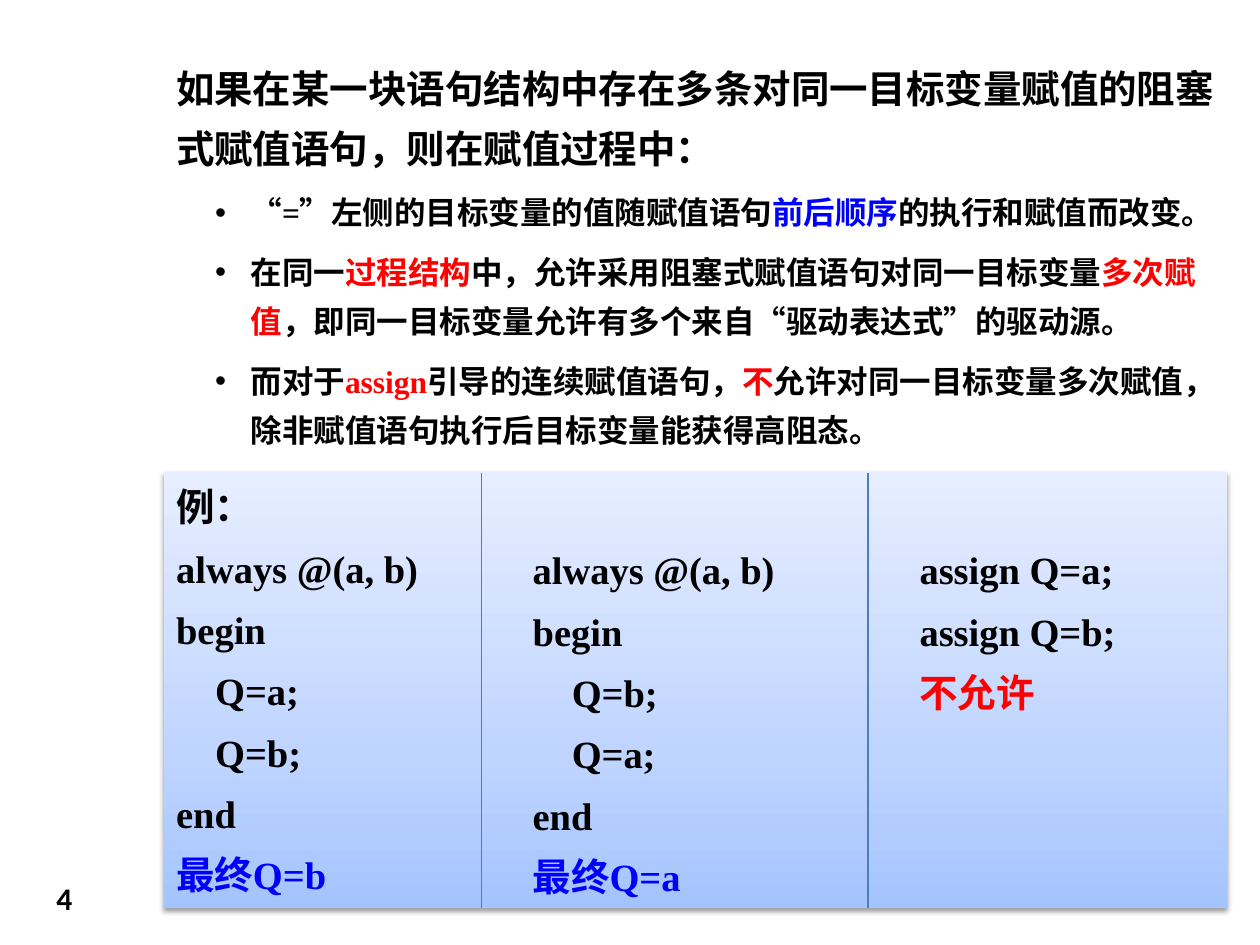
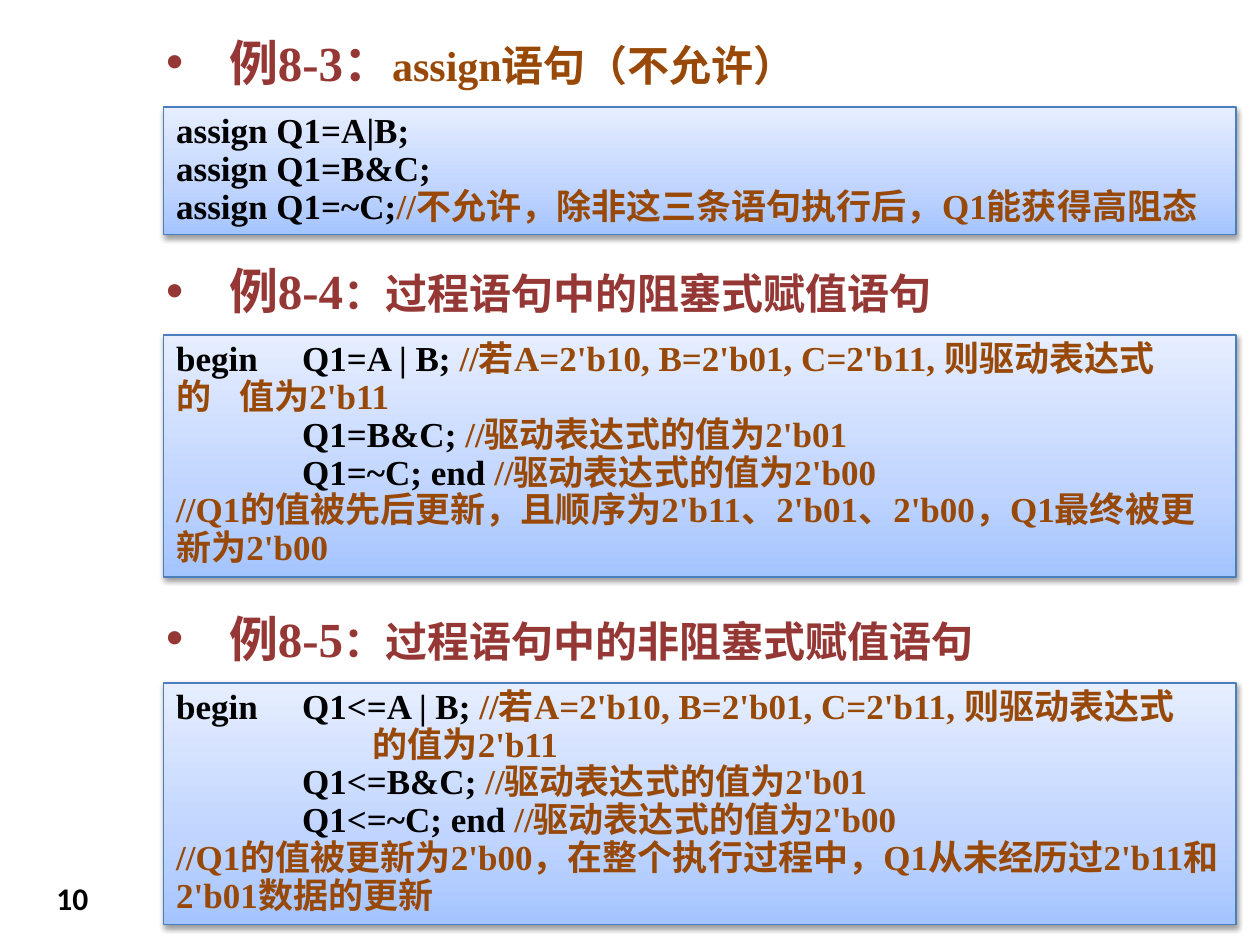
from dataclasses import dataclass

from lxml import etree
from pptx import Presentation
from pptx.dml.color import RGBColor
from pptx.enum.shapes import MSO_CONNECTOR, MSO_SHAPE
from pptx.enum.text import MSO_ANCHOR, PP_ALIGN
from pptx.oxml.ns import qn
from pptx.util import Inches, Pt

RECTANGLE = MSO_SHAPE.RECTANGLE
STRAIGHT = MSO_CONNECTOR.STRAIGHT
LEFT = PP_ALIGN.LEFT
TOP, MIDDLE = MSO_ANCHOR.TOP, MSO_ANCHOR.MIDDLE


@dataclass(frozen=True)
class Theme:
    font: str = "Times New Roman"
    number_font: str = "Calibri"
    ink: str = "000000"
    blue: str = "0000FF"
    red: str = "FF0000"
    heading: str = "953735"
    comment: str = "984807"
    rule: str = "4B7EBC"
    panel: tuple = ((0, "A4C4FF"), (35, "BFD4FF"), (100, "E6EEFF"))
    heading_size: int = 28
    topic_size: int = 24
    lead_size: int = 22
    code_size: int = 20
    body_size: int = 18


THEME = Theme()
PANEL_LEFT = 1.3
HEADING_RISE = 0.64


def add_xml(parent, tag, **attributes):
    child = etree.SubElement(parent, qn(tag))
    for name, value in attributes.items():
        child.set(name, str(value))
    return child


def write(frame, *runs, size, color=THEME.ink, font=THEME.font, indent=0,
          hanging=0, line=1.0, after=0, bullet=None, tab=None):
    """Add a paragraph; a run is text or (text, colour[, size])."""
    paragraph = frame.paragraphs[0]
    if paragraph.runs:
        paragraph = frame.add_paragraph()
    paragraph.alignment = LEFT
    paragraph.line_spacing = line
    paragraph.space_after = Pt(after)
    properties = paragraph._p.get_or_add_pPr()
    properties.set("marL", str(Inches(indent)))
    properties.set("indent", str(Inches(-hanging)))
    if bullet:
        add_xml(add_xml(properties, "a:buClr"), "a:srgbClr", val=bullet)
        add_xml(properties, "a:buFont", typeface="Arial")
        add_xml(properties, "a:buChar", char="•")
    if tab:
        stops = add_xml(properties, "a:tabLst")
        add_xml(stops, "a:tab", pos=Inches(tab), algn="l")
    for item in runs:
        text, *style = (item,) if isinstance(item, str) else item
        run = paragraph.add_run()
        run.text = text
        run.font.name = font
        run.font.bold = True
        run.font.size = Pt(style[1] if len(style) > 1 else size)
        run.font.color.rgb = RGBColor.from_string(style[0] if style else color)


def prepare_frame(shape, anchor=TOP):
    frame = shape.text_frame
    frame.word_wrap = True
    frame.vertical_anchor = anchor
    return frame


def add_text_area(slide, left, top, width, height, anchor=TOP):
    box = slide.shapes.add_textbox(
        Inches(left), Inches(top), Inches(width), Inches(height))
    return prepare_frame(box, anchor)


def add_panel(slide, top, width, height, outlined=True):
    """Add a shaded code panel with a soft shadow and return its text frame."""
    panel = slide.shapes.add_shape(
        RECTANGLE, Inches(PANEL_LEFT), Inches(top), Inches(width), Inches(height))
    panel.fill.gradient()
    properties = panel._element.spPr
    gradient = properties.find(qn("a:gradFill"))
    for child in list(gradient):
        gradient.remove(child)
    stops = add_xml(gradient, "a:gsLst")
    for position, color in THEME.panel:
        stop = add_xml(stops, "a:gs", pos=position * 1000)
        add_xml(stop, "a:srgbClr", val=color)
    add_xml(gradient, "a:lin", ang=270 * 60000, scaled=0)

    if outlined:
        panel.line.color.rgb = RGBColor.from_string(THEME.rule)
        panel.line.width = Pt(0.75)
    else:
        panel.line.fill.background()

    panel.shadow.inherit = False
    shadow = add_xml(properties.find(qn("a:effectLst")), "a:outerShdw",
                     blurRad=Pt(3.1), dist=Pt(1.6), dir=90 * 60000, rotWithShape=0)
    add_xml(add_xml(shadow, "a:srgbClr", val=THEME.ink), "a:alpha", val=38000)
    return prepare_frame(panel)


def add_divider(slide, x, top, bottom):
    divider = slide.shapes.add_connector(
        STRAIGHT, Inches(x), Inches(top), Inches(x), Inches(bottom))
    divider.line.color.rgb = RGBColor.from_string(THEME.rule)
    divider.line.width = Pt(0.75)
    add_xml(divider._element.spPr, "a:effectLst")


def add_page_number(slide, number):
    frame = add_text_area(slide, 0.35, 6.9, 0.63, 0.45, MIDDLE)
    write(frame, str(number), size=THEME.body_size, font=THEME.number_font)


def write_code_column(frame, lines):
    """Write (text, colour, indent) lines in the comparison style."""
    for text, color, indent in lines:
        write(frame, text, size=THEME.lead_size, color=color, indent=indent,
              line=1.1, after=6)


def always_block(first, second, result):
    ink = THEME.ink
    return [("always @(a, b)", ink, 0), ("begin", ink, 0),
            (first, ink, 0.31), (second, ink, 0.31),
            ("end", ink, 0), (result, THEME.blue, 0)]


def add_example(slide, top, height, heading, lines):
    """Add a bulleted heading and its code panel; a line is (runs, format)."""
    title = add_text_area(slide, 1.22, top - HEADING_RISE, 8.43, 0.61)
    write(title, *heading, size=THEME.heading_size, color=THEME.heading,
          indent=0.5, hanging=0.5, bullet=THEME.heading)
    code = add_panel(slide, top, 8.51, height)
    for runs, layout in lines:
        write(code, *runs, size=THEME.code_size, line=0.9, **layout)


def build_rules_slide(slide):
    blue, red = THEME.blue, THEME.red
    rules = add_text_area(slide, PANEL_LEFT, 0.36, 8.44, 3.24)
    write(rules, "如果在某一块语句结构中存在多条对同一目标变量赋值的阻塞式赋值语句，则在赋值过程中：",
          size=THEME.lead_size, line=1.3, after=6)
    points = [
        ["“=”左侧的目标变量的值随赋值语句", ("前后顺序", blue), "的执行和赋值而改变。"],
        ["在同一", ("过程结构", red), "中，允许采用阻塞式赋值语句对同一目标变量",
         ("多次赋值", red), "，即同一目标变量允许有多个来自“驱动表达式”的驱动源。"],
        ["而对于", ("assign", red), "引导的连续赋值语句，", ("不", red),
         "允许对同一目标变量多次赋值，除非赋值语句执行后目标变量能获得高阻态。"],
    ]
    for point in points:
        write(rules, *point, size=THEME.body_size, indent=0.59, hanging=0.28,
              line=1.3, after=6, bullet=THEME.ink)

    top, height = 3.75, 3.46
    first = add_panel(slide, top, 8.44, height, outlined=False)
    write_code_column(first, [("例：", THEME.ink, 0)]
                      + always_block("Q=a;", "Q=b;", "最终Q=b"))
    second = add_text_area(slide, 4.13, 4.25, 2.5, 2.97)
    write_code_column(second, always_block("Q=b;", "Q=a;", "最终Q=a"))
    third = add_text_area(slide, 7.2, 4.25, 2.5, 1.49)
    write_code_column(third, [("assign Q=a;", THEME.ink, 0),
                              ("assign Q=b;", THEME.ink, 0),
                              ("不允许", red, 0)])
    for x in (3.82, 6.89):
        add_divider(slide, x, top, top + height)
    add_page_number(slide, 4)


def procedural_lines(operator, comment_start, continuation, summary):
    """Return the begin-end block; continuation is its (text, format)."""
    def note(text):
        return text, THEME.comment

    rest, layout = continuation
    return [
        ([f"begin\tQ1{operator}A | B; ",
          note(f"//若A=2'b10, B=2'b01, C=2'b11, {comment_start}")], {}),
        ([note(rest)], layout),
        ([f"Q1{operator}B&C; ", note("//驱动表达式的值为2'b01")], {"indent": 1}),
        ([f"Q1{operator}~C; end ", note("//驱动表达式的值为2'b00")], {"indent": 1}),
        ([note(summary)], {}),
    ]


def build_examples_slide(slide):
    add_example(
        slide, 0.85, 1.01,
        ["例8-3：", ("assign语句（不允许）", THEME.comment, THEME.topic_size)],
        [(["assign Q1=A|B;"], {}),
         (["assign Q1=B&C;"], {}),
         (["assign Q1=~C;",
           ("//不允许，除非这三条语句执行后，Q1能获得高阻态", THEME.comment)], {})])
    add_example(
        slide, 2.66, 1.92,
        ["例8-4", ("：过程语句中的阻塞式赋值语句", THEME.heading, THEME.topic_size)],
        procedural_lines(
            "=", "则驱动表达式", ("的\t值为2'b11", {"tab": 2.18}),
            "//Q1的值被先后更新，且顺序为2'b11、2'b01、2'b00，Q1最终被更新为2'b00"))
    add_example(
        slide, 5.42, 1.92,
        ["例8-5", ("：过程语句中的非阻塞式赋值语句", THEME.heading, THEME.topic_size)],
        procedural_lines(
            "<=", "则驱动表达式", ("的值为2'b11", {"indent": 1.56}),
            "//Q1的值被更新为2'b00，在整个执行过程中，Q1从未经历过2'b11和2'b01数据的更新"))
    add_page_number(slide, 10)


def main():
    deck = Presentation()
    deck.slide_width, deck.slide_height = Inches(10), Inches(7.5)
    blank = deck.slide_layouts[6]
    for build in (build_rules_slide, build_examples_slide):
        build(deck.slides.add_slide(blank))
    deck.save("out.pptx")


if __name__ == "__main__":
    main()
